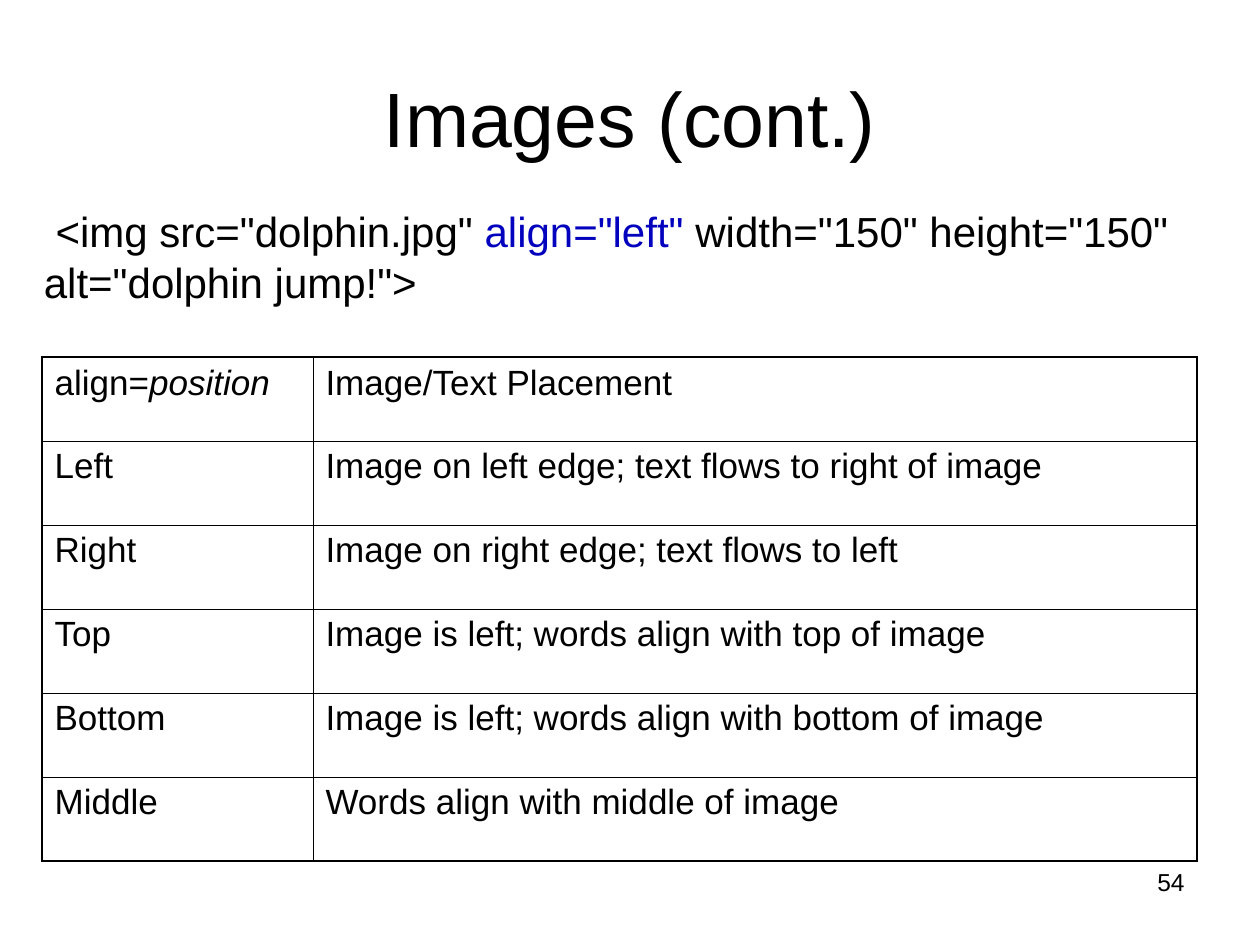
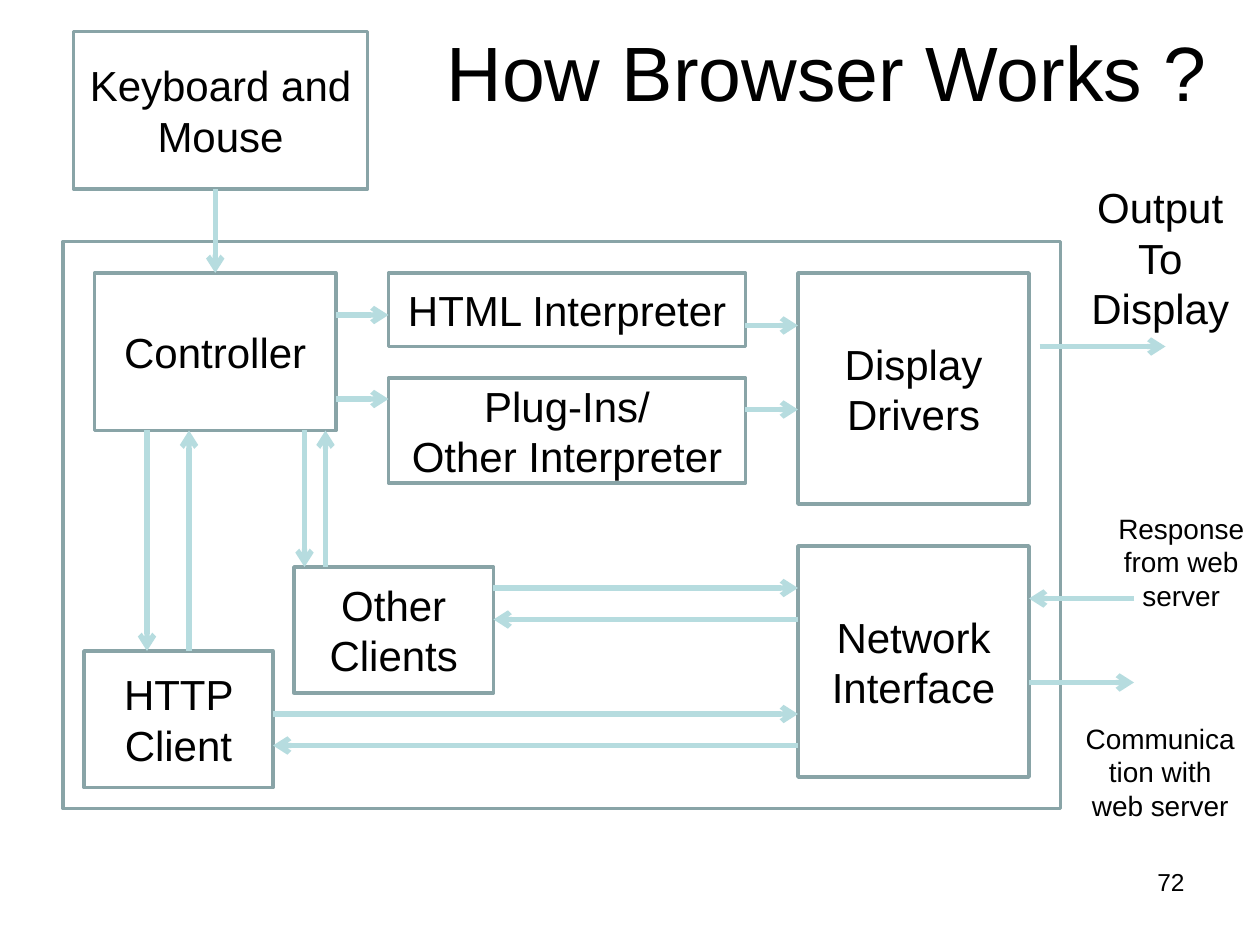
from lxml.etree import SubElement
from pptx import Presentation
from pptx.dml.color import RGBColor as Rgb
from pptx.enum.shapes import MSO_CONNECTOR as Link, MSO_SHAPE as Shape
from pptx.enum.text import MSO_ANCHOR as Anchor, MSO_AUTO_SIZE as Fit, PP_ALIGN as Align
from pptx.oxml import parse_xml
from pptx.oxml.ns import nsdecls, qn
from pptx.util import Inches, Pt

WIDE, HIGH = Inches(10), Inches(7.5)
COLS, ROWS = 120, 90
FONT = "Arial"
HUES = {"text": "000000", "mark": "0202BE", "edge": "89A4A7", "flow": "B6DCDF"}
THICK, THIN = 1.08, 0.45

ALIGNS = [
    [("align=", {}), ("position", {"italic": True})],
    "Left", "Right", "Top", "Bottom", "Middle",
]
PLACES = [
    "Image/Text Placement",
    "Image on left edge; text flows to right of image",
    "Image on right edge; text flows to left",
    "Image is left; words align with top of image",
    "Image is left; words align with bottom of image",
    "Words align with middle of image",
]
CODE = [
    (' <img src="dolphin.jpg" ', {}),
    ('align="left"', {"hue": "mark"}),
    (' width="150" height="150" alt="dolphin jump!">', {}),
]

PARTS = [
    ((6, 23, 95, 54), ""),
    ((7, 3, 28, 15), "Keyboard and Mouse"),
    ((9, 26, 23, 15), "Controller"),
    ((37, 26, 34, 7), "HTML Interpreter"),
    ((37, 36, 34, 10), "Plug-Ins/\nOther Interpreter"),
    ((76, 26, 22, 22), "Display\nDrivers"),
    ((8, 62, 18, 13), "HTTP Client"),
    ((28, 54, 19, 12), "Other Clients"),
    ((76, 52, 22, 22), "Network Interface"),
]
DOWN = [(20.5, 18, 26), (29, 41, 54), (14, 41, 62), (18, 62, 41), (31, 54, 41)]
ACROSS = [
    (30, 32, 37), (38, 32, 37), (31, 71, 76), (39, 71, 76),
    (33, 99, 111), (56, 47, 76), (59, 76, 47), (68, 26, 76),
    (71, 76, 26), (57, 108, 98), (65, 98, 108),
]
LABELS = [
    ((102, 15, 17, 19), "Output\nTo\nDisplay", 24),
    ((102, 66, 17, 15), "Communication with web server", 16),
    ((104, 46, 17, 15), "Response from web server", 16),
]


def col(n):
    return round(WIDE * n / COLS)


def row(n):
    return round(HIGH * n / ROWS)


def area(x, y, w, h):
    return col(x), row(y), col(w), row(h)


def ink(hue):
    return Rgb.from_string(HUES[hue])


def write(frame, text, size=24, align=Align.LEFT, anchor=Anchor.TOP, before=0):
    frame.word_wrap = True
    frame.vertical_anchor = anchor
    lines = [[(line, {})] for line in text.split("\n")] if isinstance(text, str) else [text]
    for n, line in enumerate(lines):
        para = frame.add_paragraph() if n else frame.paragraphs[0]
        para.alignment = align
        para.space_before = Pt(before)
        for words, look in line:
            run = para.add_run()
            run.text = words
            run.font.name = FONT
            run.font.size = Pt(size)
            run.font.italic = look.get("italic", False)
            run.font.color.rgb = ink(look.get("hue", "text"))


def label(slide, spot, text, **look):
    write(slide.shapes.add_textbox(*area(*spot)).text_frame, text, **look)


def start(deck, title, spot, page):
    slide = deck.slides.add_slide(deck.slide_layouts[5])
    head = slide.shapes.title
    head.left, head.top, head.width, head.height = area(*spot)
    head.text_frame.auto_size = Fit.NONE
    write(head.text_frame, title, size=44, align=Align.CENTER, anchor=Anchor.MIDDLE)
    label(slide, (86, 82, 28, 6.2), page, size=14, align=Align.RIGHT)
    return slide


def box(slide, spot, text):
    shape = slide.shapes.add_shape(Shape.RECTANGLE, *area(*spot))
    shape.shadow.inherit = False
    shape.fill.background()
    shape.line.color.rgb = ink("edge")
    shape.line.width = Pt(2)
    if text:
        write(shape.text_frame, text, align=Align.CENTER, anchor=Anchor.MIDDLE)


def arrow(slide, x1, y1, x2, y2):
    link = slide.shapes.add_connector(Link.STRAIGHT, col(x1), row(y1), col(x2), row(y2))
    link.line.color.rgb = ink("flow")
    link.line.width = Pt(3)
    props = link.element.spPr
    SubElement(props.find(qn("a:ln")), qn("a:tailEnd"), type="arrow")
    SubElement(props, qn("a:effectLst"))


def border(cell, sides):
    props = cell._tc.get_or_add_tcPr()
    for n, (side, outer) in enumerate(sides.items()):
        width = Pt(THICK if outer else THIN)
        props.insert(n, parse_xml(
            f'<a:ln{side} {nsdecls("a")} w="{width}"><a:solidFill>'
            f'<a:srgbClr val="{HUES["text"]}"/></a:solidFill></a:ln{side}>'))


def grid(slide, spot, widths, rows):
    table = slide.shapes.add_table(len(rows), len(widths), *area(*spot)).table
    table.first_row = table.horz_banding = False
    for n, width in enumerate(widths):
        table.columns[n].width = col(width)
    for r, texts in enumerate(rows):
        for c, text in enumerate(texts):
            cell = table.cell(r, c)
            cell.fill.background()
            border(cell, {"L": c == 0, "R": c == len(widths) - 1,
                          "T": r == 0, "B": r == len(rows) - 1})
            write(cell.text_frame, text, size=20, before=5)


def images(deck):
    slide = start(deck, "Images (cont.)", (6, 3.6, 108, 15), "54")
    grid(slide, (4, 34, 110, 48), (25.8, 84.2), list(zip(ALIGNS, PLACES)))
    label(slide, (3, 19, 111, 10.8), CODE)


def browser(deck):
    slide = start(deck, "How Browser Works ?", (40, 1.5, 77.5, 10.5), "72")
    for spot, text in PARTS:
        box(slide, spot, text)
    for x, top, end in DOWN:
        arrow(slide, x, top, x, end)
    for y, left, end in ACROSS:
        arrow(slide, left, y, end, y)
    for spot, text, size in LABELS:
        label(slide, spot, text, size=size, align=Align.CENTER, anchor=Anchor.MIDDLE)


def main():
    deck = Presentation()
    deck.slide_width, deck.slide_height = WIDE, HIGH
    images(deck)
    browser(deck)
    deck.save("out.pptx")


if __name__ == "__main__":
    main()
